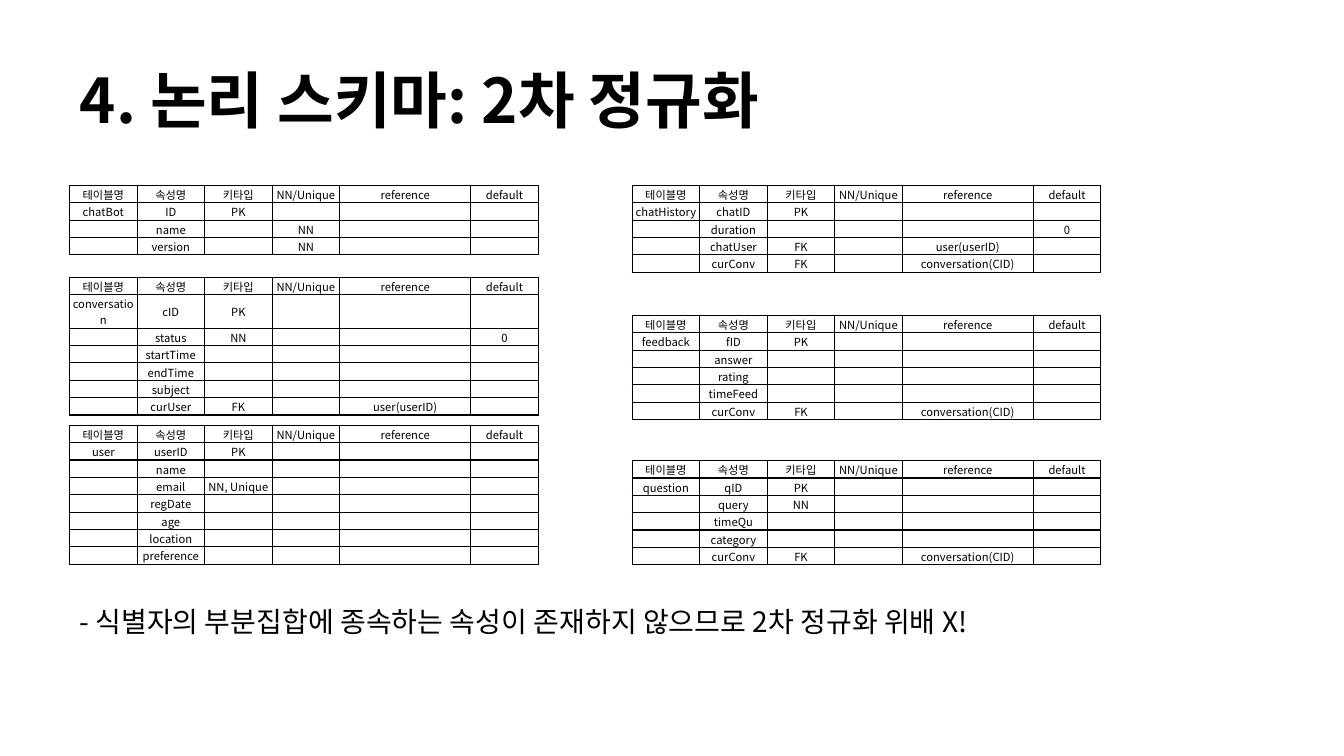
from dataclasses import dataclass

from lxml import etree
from pptx import Presentation
from pptx import util as u
from pptx.dml.color import RGBColor
from pptx.enum import text as t
from pptx.oxml import ns


@dataclass(frozen=True)
class Theme:
    """Colours, font and type sizes of the slide."""
    ink: str = "000000"
    font: str = "Noto Sans CJK KR"
    title: int = 44
    note: int = 20
    cell: int = 8
    rule: int = 1


THEME = Theme()
LEFT, RIGHT = 0.69, 6.27
WIDE = 11.96
COLS = (0.67, 0.67, 0.67, 0.67, 1.3, 0.67)
ROW = 0.17
HEAD = ("테이블명", "속성명", "키타입", "NN/Unique", "reference", "default")

# Each table: left, top, name, then (attribute, key, NN, reference, default).
TABLES = (
    (LEFT, 1.84, "chatBot", (
        ("ID", "PK"), ("name", "", "NN"), ("version", "", "NN"))),
    (LEFT, 2.75, "conversation", (
        ("cID", "PK"), ("status", "NN", "", "", "0"), ("startTime",),
        ("endTime",), ("subject",), ("curUser", "FK", "", "user(userID)"))),
    (LEFT, 4.22, "user", (
        ("userID", "PK"), ("name",), ("email", "NN, Unique"), ("regDate",),
        ("age",), ("location",), ("preference",))),
    (RIGHT, 1.84, "chatHistory", (
        ("chatID", "PK"), ("duration", "", "", "", "0"),
        ("chatUser", "FK", "", "user(userID)"),
        ("curConv", "FK", "", "conversation(CID)"))),
    (RIGHT, 3.13, "feedback", (
        ("fID", "PK"), ("answer",), ("rating",), ("timeFeed",),
        ("curConv", "FK", "", "conversation(CID)"))),
    (RIGHT, 4.57, "question", (
        ("qID", "PK"), ("query", "NN"), ("timeQu",), ("category",),
        ("curConv", "FK", "", "conversation(CID)"))),
)


def sub(node, tag, **attrs):
    """Append a DrawingML child to a node."""
    return etree.SubElement(node, ns.qn("a:" + tag), attrs)


def write(frame, words, size, bold=False, align=t.PP_ALIGN.LEFT, space=None):
    """Set the one paragraph of a text frame, with its format."""
    para = frame.paragraphs[0]
    para.alignment = align
    if space:
        para.line_spacing = space
    if not words:
        end = sub(para._p, "endParaRPr", sz=str(size * 100))
        for tag in ("latin", "ea"):
            sub(end, tag, typeface=THEME.font)
        return
    run = para.add_run()
    run.text = words
    font = run.font
    font.size, font.bold, font.name = u.Pt(size), bold, THEME.font
    font.color.rgb = RGBColor.from_string(THEME.ink)
    sub(run._r.get_or_add_rPr(), "ea", typeface=THEME.font)


def edge(cell):
    """Draw a solid rule on all four sides of a cell."""
    props = cell._tc.get_or_add_tcPr()
    for side in ("lnL", "lnR", "lnT", "lnB"):
        line = sub(props, side, w=str(u.Pt(THEME.rule)))
        sub(sub(line, "solidFill"), "srgbClr", val=THEME.ink)


def fill(cell, words):
    """Format one table cell and write its words."""
    edge(cell)
    cell.fill.background()
    cell.margin_left = cell.margin_top = cell.margin_right = u.Inches(0.01)
    cell.margin_bottom = 0
    cell.vertical_anchor = t.MSO_ANCHOR.MIDDLE
    write(cell.text_frame, words, THEME.cell, align=t.PP_ALIGN.CENTER)


def schema(slide, left, top, name, attrs):
    """Add the table that describes one relation."""
    rows = [HEAD]
    for i, attr in enumerate(attrs):
        row = ("" if i else name, *attr)
        rows.append(row + ("",) * (len(HEAD) - len(row)))
    grid = slide.shapes.add_table(
        len(rows), len(COLS), u.Inches(left), u.Inches(top),
        u.Inches(sum(COLS)), u.Inches(ROW * len(rows))).table
    grid.first_row = grid.horz_banding = False
    for col, width in zip(grid.columns, COLS):
        col.width = u.Inches(width)
    for r, row in enumerate(rows):
        grid.rows[r].height = u.Inches(ROW)
        for c, words in enumerate(row):
            fill(grid.cell(r, c), words)


def head(slide, words):
    """Place and write the slide title."""
    box = slide.shapes.title
    box.left, box.top = u.Inches(LEFT), u.Inches(0.3)
    box.width, box.height = u.Inches(WIDE), u.Inches(1.45)
    frame = box.text_frame
    frame.vertical_anchor = t.MSO_ANCHOR.MIDDLE
    frame.auto_size = t.MSO_AUTO_SIZE.NONE
    write(frame, words, THEME.title, bold=True, space=0.9)


def note(slide, words):
    """Add the closing remark below the tables."""
    box = slide.shapes.add_textbox(
        u.Inches(LEFT), u.Inches(5.95), u.Inches(WIDE), u.Inches(0.44))
    frame = box.text_frame
    frame.word_wrap = True
    frame.auto_size = t.MSO_AUTO_SIZE.SHAPE_TO_FIT_TEXT
    write(frame, words, THEME.note)


def main():
    """Build the slide and save it."""
    deck = Presentation()
    deck.slide_width, deck.slide_height = u.Inches(13.33), u.Inches(7.5)
    slide = deck.slides.add_slide(deck.slide_layouts.get_by_name("Title Only"))
    head(slide, "4. 논리 스키마: 2차 정규화")
    for table in TABLES:
        schema(slide, *table)
    note(slide, "- 식별자의 부분집합에 종속하는 속성이 존재하지 않으므로 "
                "2차 정규화 위배 X!")
    deck.save("out.pptx")


main()
